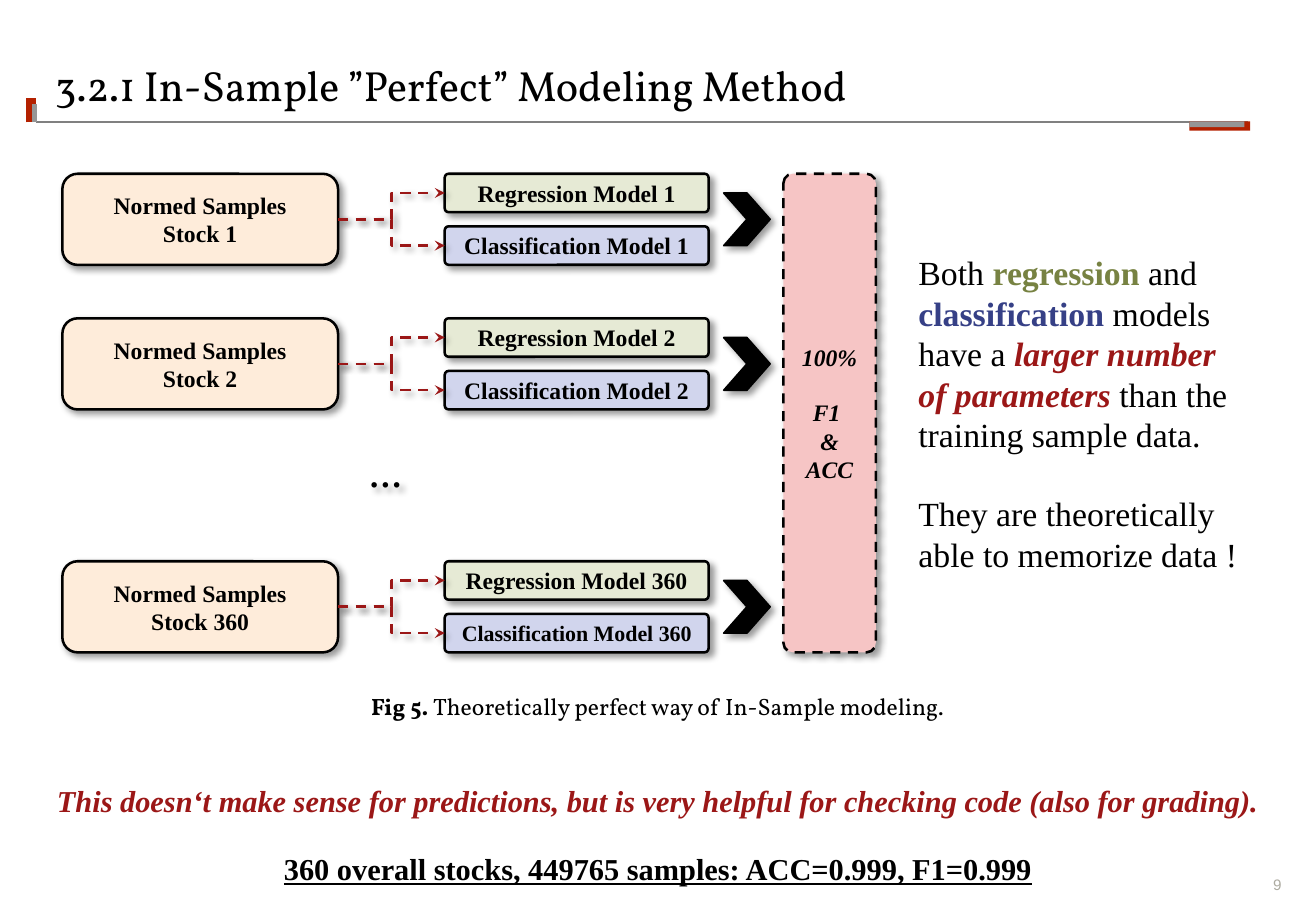
from lxml.etree import SubElement
from pptx import Presentation
from pptx.dml.color import RGBColor
from pptx.enum.dml import MSO_LINE
from pptx.enum.shapes import MSO_CONNECTOR, MSO_SHAPE
from pptx.enum.text import MSO_ANCHOR, PP_ALIGN
from pptx.oxml.ns import qn
from pptx.util import Pt

# Content
TITLE = "3.2.1 In-Sample ”Perfect” Modeling Method"
STOCKS = [(1, 103, 14), (2, 188.7, 14), (360, 332.7, 13)]  # number, top, classification size
ELLIPSIS = "···"
SCORES = ["100%", "F1 ", "& ACC"]
EXPLANATION = [
    [("Both ", {}),
     ("regression", {"color": "olive", "bold": True}),
     (" and ", {}),
     ("classification", {"color": "navy", "bold": True}),
     (" models have a ", {}),
     ("larger number of parameters ", {"color": "crimson", "bold": True, "italic": True}),
     ("than the training sample data.", {})],
    "They are theoretically able to memorize data !",
]
CAPTION = [("Fig 5. ", {"bold": True}),
           ("Theoretically perfect way of In-Sample modeling.", {})]
WARNING = ("This doesn‘t make sense for predictions, but is very helpful "
           "for checking code (also for grading).")
RESULT = "360 overall stocks, 449765 samples: ACC=0.999, F1=0.999"
PAGE_NUMBER = "9"

COLORS = {
    "black": "000000", "crimson": "9B1717", "olive": "778242", "navy": "364086",
    "peach": "FEECDA", "green": "E6EAD5", "blue": "D1D5ED", "pink": "F6C5C5",
    "red": "B42100", "gray": "969696", "rule": "808080", "number": "ADABA1",
}
SERIF, HEADING = "Times New Roman", "Vollkorn"
CENTER, MIDDLE, BOTTOM = PP_ALIGN.CENTER, MSO_ANCHOR.MIDDLE, MSO_ANCHOR.BOTTOM

# Layout
PAGE_WIDTH, PAGE_HEIGHT = 780, 540
STOCK_LEFT, STOCK_WIDTH, ROW_HEIGHT = 37, 163.4, 54
MODEL_LEFT, MODEL_WIDTH, MODEL_HEIGHT = 263.6, 156.4, 22.8
CHEVRON_LEFT, CHEVRON_WIDTH, CHEVRON_HEIGHT = 429, 27.5, 31.2
DIAGRAM_TOP = STOCKS[0][1]
DIAGRAM_HEIGHT = STOCKS[-1][1] + ROW_HEIGHT - DIAGRAM_TOP

deck = Presentation()
deck.slide_width, deck.slide_height = Pt(PAGE_WIDTH), Pt(PAGE_HEIGHT)
page = deck.slides.add_slide(deck.slide_layouts[6])


def rgb(name):
    return RGBColor.from_string(COLORS[name])


def set_effects(properties, shadow):
    effects = properties.find(qn("a:effectLst"))
    if effects is None:
        effects = SubElement(properties, qn("a:effectLst"))
    if shadow:
        outer = SubElement(effects, qn("a:outerShdw"), blurRad=str(Pt(4)),
                           dist=str(Pt(3)), dir="2700000", algn="tl", rotWithShape="0")
        tint = SubElement(outer, qn("a:srgbClr"), val=COLORS["black"])
        SubElement(tint, qn("a:alpha"), val="40000")


def write(box, paragraphs, size, color="black", font=SERIF, align=CENTER,
          anchor=MIDDLE, inset=5.76, gap=0, bold=False, italic=False, underline=False):
    frame = box.text_frame
    frame.word_wrap = True
    frame.vertical_anchor = anchor
    frame.margin_left = frame.margin_right = Pt(inset)
    frame.margin_top = frame.margin_bottom = Pt(inset)
    for index, content in enumerate(paragraphs):
        para = frame.add_paragraph() if index else frame.paragraphs[0]
        para.alignment = align
        if index == 1 and gap:
            para.space_before = Pt(gap)
        spans = [(content, {})] if isinstance(content, str) else content
        for text, style in spans:
            span = para.add_run()
            span.text = text
            span.font.name, span.font.size = font, Pt(size)
            span.font.color.rgb = rgb(style.get("color", color))
            span.font.bold = style.get("bold", bold)
            span.font.italic = style.get("italic", italic)
            span.font.underline = underline


def add_block(kind, left, top, width, height, fill=None, line=None, weight=1.5,
              shadow=True, corner=None):
    block = page.shapes.add_shape(kind, Pt(left), Pt(top), Pt(width), Pt(height))
    if corner is not None:
        block.adjustments[0] = corner
    if fill:
        block.fill.solid()
        block.fill.fore_color.rgb = rgb(fill)
    else:
        block.fill.background()
    if line:
        block.line.color.rgb = rgb(line)
        block.line.width = Pt(weight)
    else:
        block.line.fill.background()
    block.shadow.inherit = False
    set_effects(block._element.spPr, shadow)
    return block


def add_text(left, top, width, height, paragraphs, size, **style):
    box = page.shapes.add_textbox(Pt(left), Pt(top), Pt(width), Pt(height))
    write(box, paragraphs, size, **style)


def add_line(kind, x1, y1, x2, y2, color, weight, shadow=False):
    line = page.shapes.add_connector(kind, Pt(x1), Pt(y1), Pt(x2), Pt(y2))
    line.line.color.rgb = rgb(color)
    line.line.width = Pt(weight)
    set_effects(line._element.spPr, shadow)
    return line


def add_branch(stock, model, start_y, end_y):
    branch = add_line(MSO_CONNECTOR.ELBOW, STOCK_LEFT + STOCK_WIDTH, start_y,
                      MODEL_LEFT, end_y, "crimson", 1.5, shadow=True)
    branch.begin_connect(stock, 3)
    branch.end_connect(model, 1)
    branch.line.dash_style = MSO_LINE.DASH
    SubElement(branch.line._get_or_add_ln(), qn("a:tailEnd"), type="stealth")


# Page frame
add_line(MSO_CONNECTOR.STRAIGHT, 21.6, 72.3, 740, 72.3, "rule", 1)
add_line(MSO_CONNECTOR.STRAIGHT, 18.6, 72.5, 18.6, 58, "red", 6)
add_line(MSO_CONNECTOR.STRAIGHT, 20.3, 72.5, 20.3, 61.8, "gray", 3)
add_block(MSO_SHAPE.RECTANGLE, 705, 72, 36, 5.4, "red", shadow=False)
add_block(MSO_SHAPE.RECTANGLE, 705, 72, 32.6, 3.4, "gray", shadow=False)
add_text(737.3, 519, 22.3, 10.8, [PAGE_NUMBER], 9, color="number", font="Arial",
         align=PP_ALIGN.RIGHT, anchor=BOTTOM, inset=0)
add_text(32.6, 29, 569.5, 42.5, [TITLE], 25, font=HEADING, align=PP_ALIGN.LEFT, inset=0)

# One row per stock: samples, two models, chevron
for number, top, classification_size in STOCKS:
    middle = top + ROW_HEIGHT / 2
    stock = add_block(MSO_SHAPE.ROUNDED_RECTANGLE, STOCK_LEFT, top, STOCK_WIDTH,
                      ROW_HEIGHT, "peach", "black")
    write(stock, ["Normed Samples", f"Stock {number}"], 14, bold=True)
    models = [("Regression", "green", top, 14),
              ("Classification", "blue", top + ROW_HEIGHT - MODEL_HEIGHT, classification_size)]
    for name, fill, model_top, size in models:
        model = add_block(MSO_SHAPE.ROUNDED_RECTANGLE, MODEL_LEFT, model_top, MODEL_WIDTH,
                          MODEL_HEIGHT, fill, "black", corner=0.1)
        write(model, [f"{name} Model {number}"], size, bold=True)
        add_branch(stock, model, middle, model_top + MODEL_HEIGHT / 2)
    add_block(MSO_SHAPE.CHEVRON, CHEVRON_LEFT, middle - CHEVRON_HEIGHT / 2,
              CHEVRON_WIDTH, CHEVRON_HEIGHT, "black", "black", 1)

ellipsis = add_block(MSO_SHAPE.ROUNDED_RECTANGLE, STOCK_LEFT, 259.2,
                     MODEL_LEFT + MODEL_WIDTH - STOCK_LEFT, ROW_HEIGHT)
write(ellipsis, [ELLIPSIS], 20, bold=True)

# Scores column and explanation
scores = add_block(MSO_SHAPE.ROUNDED_RECTANGLE, 464.4, DIAGRAM_TOP, 54.7, DIAGRAM_HEIGHT,
                   "pink", "black", corner=0.1)
scores.line.dash_style = MSO_LINE.DASH
write(scores, SCORES, 14, gap=16, bold=True, italic=True)
add_text(538.6, DIAGRAM_TOP, 203.8, DIAGRAM_HEIGHT, EXPLANATION, 20,
         align=PP_ALIGN.LEFT, gap=23)

# Caption and conclusions
add_text(128.9, 409.7, 522, 17.3, [CAPTION], 14, font=HEADING, anchor=BOTTOM, inset=0)
add_text(0, 460, PAGE_WIDTH, 29, [WARNING], 18, color="crimson", bold=True, italic=True)
add_text(0, 500.4, PAGE_WIDTH, 29, [RESULT], 18, bold=True, underline=True)

deck.save("out.pptx")
